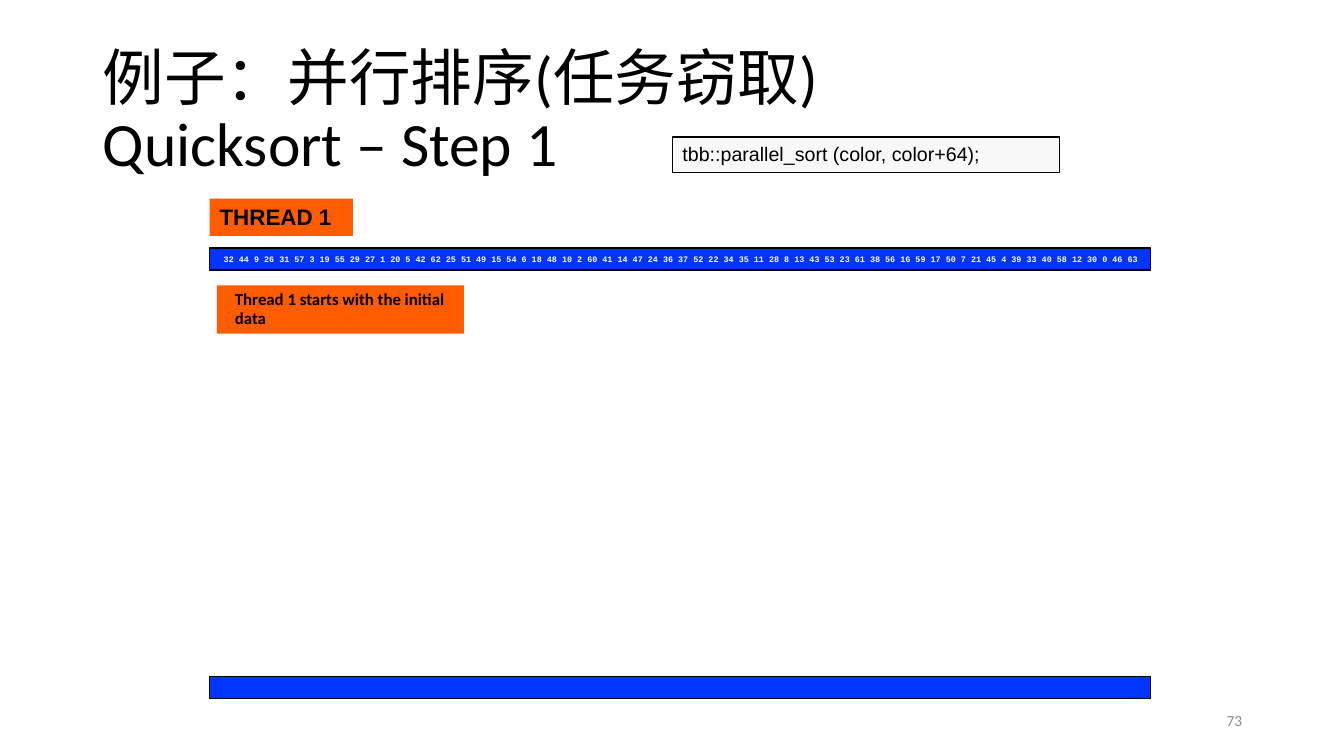
from dataclasses import dataclass

from lxml.etree import SubElement
from pptx import Presentation
from pptx.dml.color import RGBColor
from pptx.enum.shapes import MSO_SHAPE
from pptx.enum.text import MSO_ANCHOR, PP_ALIGN
from pptx.oxml.ns import qn
from pptx.util import Inches, Pt


@dataclass(frozen=True)
class Theme:
    black: str = "000000"
    white: str = "FFFFFF"
    grey: str = "8C8C8C"
    orange: str = "FF5C00"
    blue: str = "0034FF"
    code_fill: str = "E7E6E6"
    title: int = 44
    label: int = 16
    code: int = 14
    note: int = 12
    number: int = 11
    data: int = 6


THEME = Theme()

COLORS = (
    "32 44 9 26 31 57 3 19 55 29 27 1 20 5 42 62 25 51 49 15 54 6 18 48 10 2 60 41 14 47 24 36 "
    "37 52 22 34 35 11 28 8 13 43 53 23 61 38 56 16 59 17 50 7 21 45 4 39 33 40 58 12 30 0 46 63"
)


def apply(target, values):
    for name, value in values.items():
        setattr(target, name, value)


def write(s, text, size, font="Calibri", color=THEME.black, bold=False, frame=None, para=None):
    tf = s.text_frame
    apply(tf, {"word_wrap": True, "vertical_anchor": MSO_ANCHOR.TOP, **(frame or {})})
    for i, line in enumerate(text.split("\v")):
        p = tf.paragraphs[0]
        if i:
            p.add_line_break()
        r = p.add_run()
        r.text = line
        apply(r.font, {"size": Pt(size), "name": font, "bold": bold})
        r.font.color.rgb = RGBColor.from_string(color)
    apply(p, {"alignment": PP_ALIGN.LEFT, **(para or {})})


def add_text(slide, box, text, size, **style):
    s = slide.shapes.add_textbox(*map(Inches, box))
    write(s, text, size, **style)


def add_box(slide, box, fill, outlined=False, alpha=None):
    s = slide.shapes.add_shape(MSO_SHAPE.RECTANGLE, *map(Inches, box))
    s.shadow.inherit = False
    s.fill.solid()
    s.fill.fore_color.rgb = RGBColor.from_string(fill)
    if alpha is not None:
        color = s.fill._xPr.find(qn("a:solidFill"))[0]
        SubElement(color, qn("a:alpha")).set("val", str(alpha * 1000))
    if outlined:
        s.line.color.rgb = RGBColor.from_string(THEME.black)
        s.line.width = Pt(1)
    else:
        s.line.fill.background()
    return s


def main():
    prs = Presentation()
    apply(prs, {"slide_width": Inches(13.33), "slide_height": Inches(7.5)})
    slide = prs.slides.add_slide(prs.slide_layouts[6])
    middle = {"vertical_anchor": MSO_ANCHOR.MIDDLE}

    add_text(slide, (9.42, 6.95, 3, 0.4), "73", THEME.number, color=THEME.grey,
             frame=middle, para={"alignment": PP_ALIGN.RIGHT})
    add_text(slide, (0.92, 0.4, 11.5, 1.45), "例子：并行排序(任务窃取)\vQuicksort – Step 1",
             THEME.title, frame=middle, para={"line_spacing": 0.9})

    thread = add_box(slide, (2.08, 1.97, 1.42, 0.37), THEME.orange)
    write(thread, "THREAD 1", THEME.label, font="Arial", bold=True)

    data, _ = [add_box(slide, (2.08, top, 9.33, 0.22), THEME.blue, outlined=True)
               for top in (2.46, 6.71)]
    write(data, COLORS, THEME.data, font="Courier New", color=THEME.white, bold=True,
          frame={**middle, "word_wrap": False}, para={"alignment": PP_ALIGN.CENTER})

    note = add_box(slide, (2.15, 2.83, 2.45, 0.48), THEME.orange)
    write(note, "Thread 1 starts with the initial data", THEME.note, bold=True,
          frame={"vertical_anchor": MSO_ANCHOR.BOTTOM, "margin_left": Inches(0.18)},
          para={"line_spacing": 0.95})

    code = add_box(slide, (6.67, 1.36, 3.84, 0.35), THEME.code_fill, outlined=True, alpha=25)
    write(code, "tbb::parallel_sort (color, color+64);", THEME.code, font="Arial")

    prs.save("out.pptx")


if __name__ == "__main__":
    main()
